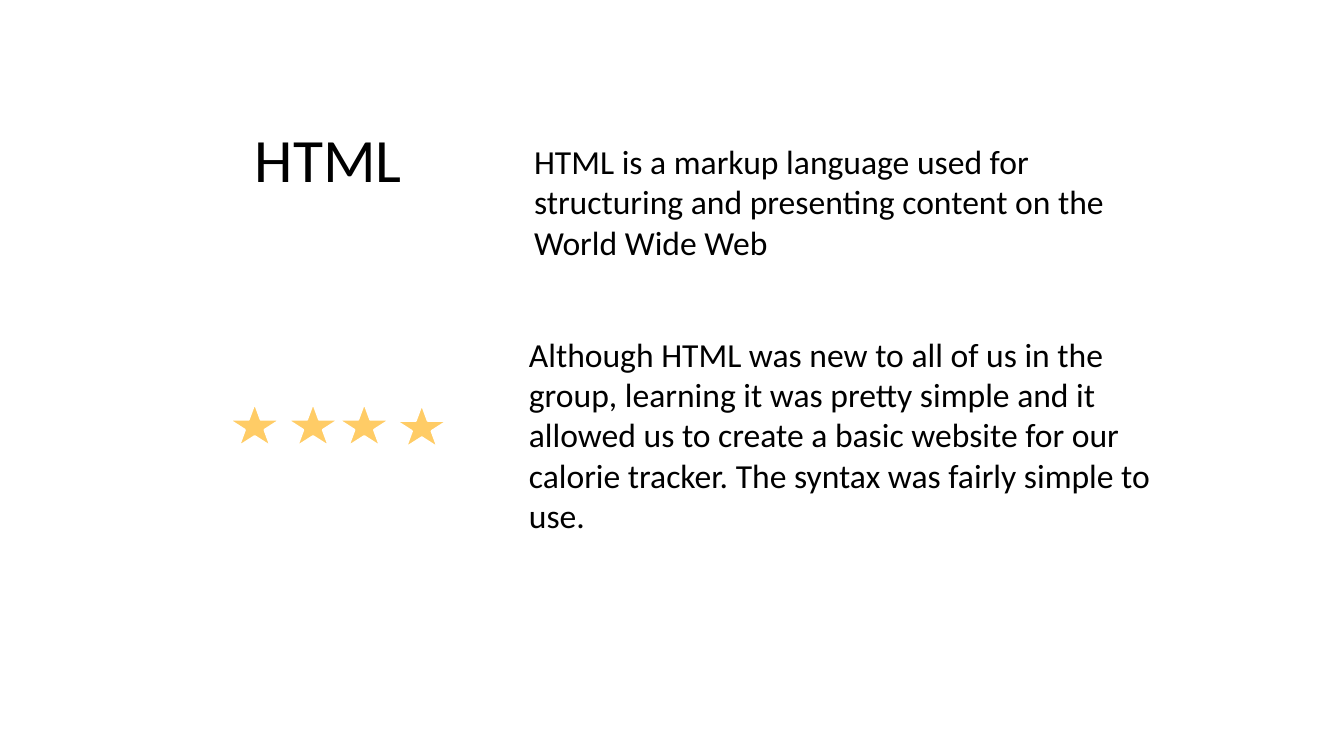
import pptx
import pptx.dml.color
import pptx.enum.shapes
import pptx.enum.text
import pptx.util
from pptx.util import Cm

BLACK = pptx.dml.color.RGBColor(0x00, 0x00, 0x00)
WHITE = pptx.dml.color.RGBColor(0xFF, 0xFF, 0xFF)
GOLD = pptx.dml.color.RGBColor(0xFF, 0xCC, 0x66)

presentation = pptx.Presentation()
presentation.slide_width = Cm(33.87)
presentation.slide_height = Cm(19.05)
slide = presentation.slides.add_slide(presentation.slide_layouts[6])

# Heading, definition and review: left, top, width, height, size, text
texts = [
    (6.17, 2.92, 5.08, 3.99, 44, "HTML"),
    (13.21, 3.43, 15.11, 3.3, 24,
     "HTML is a markup language used for structuring and presenting "
     "content on the World Wide Web"),
    (13.08, 8.28, 16.51, 5.33, 24,
     "Although HTML was new to all of us in the group, learning it was "
     "pretty simple and it allowed us to create a basic website for our "
     "calorie tracker. The syntax was fairly simple to use."),
]
for left, top, width, height, size, text in texts:
    box = slide.shapes.add_textbox(Cm(left), Cm(top), Cm(width), Cm(height))
    frame = box.text_frame
    frame.word_wrap = True
    frame.auto_size = pptx.enum.text.MSO_AUTO_SIZE.SHAPE_TO_FIT_TEXT
    paragraph = frame.paragraphs[0]
    paragraph.text = text
    paragraph.font.name = "Calibri"
    paragraph.font.size = pptx.util.Pt(size)
    paragraph.font.color.rgb = BLACK

# Four-star rating
for left, top in [(5.77, 10.16), (7.24, 10.16), (8.53, 10.16), (9.98, 10.19)]:
    star = slide.shapes.add_shape(
        pptx.enum.shapes.MSO_SHAPE.STAR_5_POINT,
        Cm(left), Cm(top), Cm(1.3), Cm(1.09))
    star.shadow.inherit = False
    star.fill.solid()
    star.fill.fore_color.rgb = GOLD
    star.line.color.rgb = WHITE
    star.line.width = pptx.util.Pt(1.5)

presentation.save("out.pptx")
